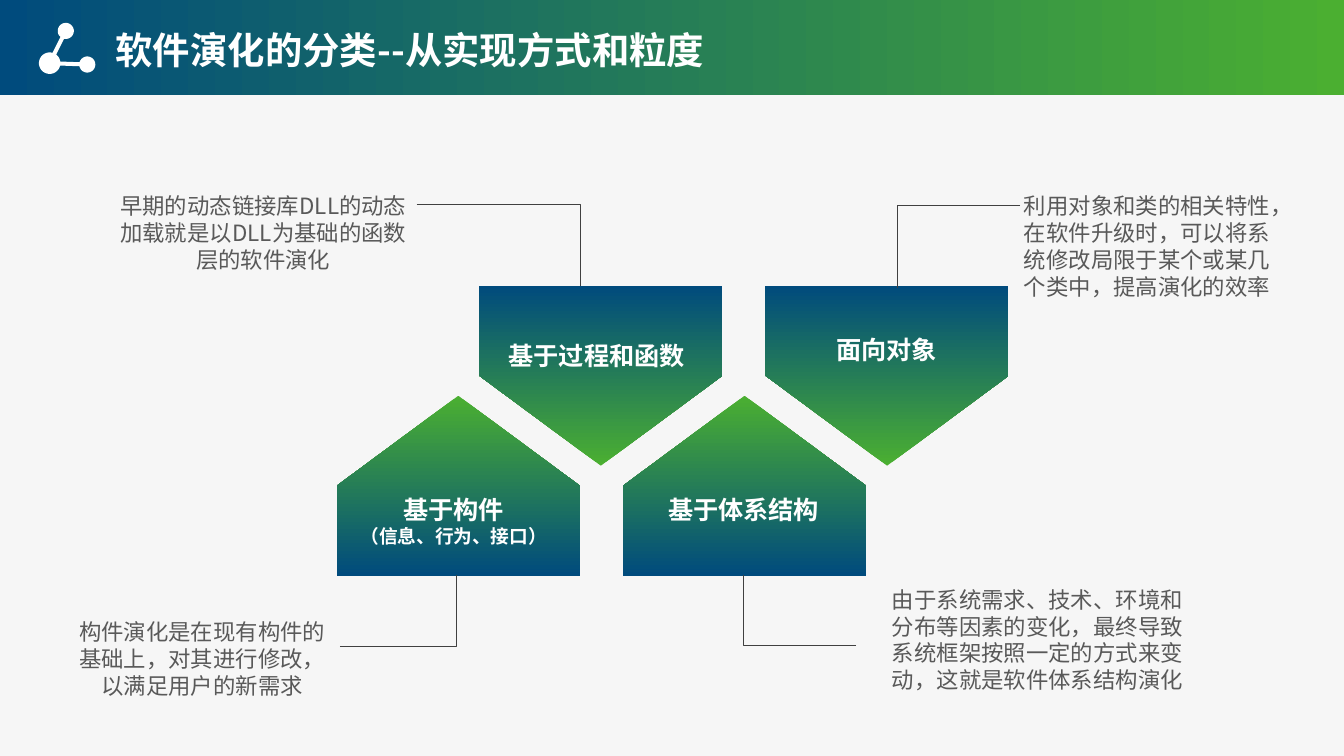
import math
from dataclasses import dataclass

import pptx
import pptx.dml.color
import pptx.enum.shapes
import pptx.enum.text
import pptx.oxml
import pptx.oxml.ns
import pptx.util

Inches = pptx.util.Inches
Pt = pptx.util.Pt
RGB = pptx.dml.color.RGBColor.from_string
SHAPE = pptx.enum.shapes.MSO_SHAPE
CONNECTOR = pptx.enum.shapes.MSO_CONNECTOR
ALIGN = pptx.enum.text.PP_ALIGN
qn = pptx.oxml.ns.qn
NS = pptx.oxml.ns.nsdecls("a")


@dataclass(frozen=True)
class Theme:
    font: str = "Noto Sans CJK SC"
    paper: str = "F6F6F6"
    blue: str = "004B7D"
    green: str = "4BAF31"
    white: str = "FFFFFF"
    body: str = "595959"
    rule: str = "404040"
    title_size: float = 20
    label_size: float = 13.5
    note_size: float = 10
    body_size: float = 12


THEME = Theme()
SLIDE_W = 10
SLIDE_H = SLIDE_W * 9 / 16

# Plates: left and top before turning, rotation
PLATES = [
    (2.74, 2.71, 270),
    (4.87, 2.71, 270),
    (3.8, 1.89, 90),
    (5.93, 1.89, 90),
]

# Plate labels: box, lines with their sizes
LABELS = [
    ((2.58, 3.63, 1.59, 0.5), [("基于构件", THEME.label_size),
                               ("（信息、行为、接口）", THEME.note_size)]),
    ((4.74, 3.63, 1.59, 0.5), [("基于体系结构", THEME.label_size)]),
    ((3.61, 2.48, 1.66, 0.5), [("基于过程和函数", THEME.label_size)]),
    ((5.69, 2.44, 1.81, 0.5), [("面向对象", THEME.label_size)]),
]

# Leaders: from the callout, across and then up or down to the plate
LEADERS = [
    (3.1, 1.52, 4.32, 2.13),
    (7.59, 1.53, 6.68, 2.14),
    (2.53, 4.81, 3.4, 4.28),
    (6.37, 4.8, 5.53, 4.28),
]

# Callouts: box, alignment, text
CALLOUTS = [
    ((0.76, 1.38, 2.4, 1.06), ALIGN.CENTER,
     "早期的动态链接库DLL的动态加载就是以DLL为基础的函数层的软件演化"),
    ((0.41, 4.55, 2.19, 0.64), ALIGN.CENTER,
     "构件演化是在现有构件的基础上，对其进行修改，以满足用户的新需求"),
    ((7.52, 1.38, 2.19, 0.99), ALIGN.LEFT,
     "利用对象和类的相关特性，在软件升级时，可以将系统修改局限于某个或某几个类中，提高演化的效率"),
    ((6.52, 4.31, 2.4, 1.06), ALIGN.CENTER,
     "由于系统需求、技术、环境和分布等因素的变化，最终导致系统框架按照一定的方式来变动，这就是软件体系结构演化"),
]

# Header icon: centre and radius of the hub and of the nodes linked to it
HUB = (0.37, 0.47, 0.08)
NODES = [(0.49, 0.23, 0.06), (0.65, 0.48, 0.06)]
LINK_WIDTH = 0.03


def fill_solid(sp, color):
    sp.fill.solid()
    sp.fill.fore_color.rgb = RGB(color)


def fill_gradient(sp, start, end, angle):
    sp.fill.gradient()
    sp.fill.gradient_angle = angle
    for stop, position, color in zip(sp.fill.gradient_stops, (0, 1), (start, end)):
        stop.position = position
        stop.color.rgb = RGB(color)


def make_plain(sp):
    sp.shadow.inherit = False
    sp.line.fill.background()


def add_shape(s, kind, x, y, w, h):
    sp = s.shapes.add_shape(kind, Inches(x), Inches(y), Inches(w), Inches(h))
    make_plain(sp)
    return sp


def add_plate(s, x, y, rotation):
    sp = add_shape(s, SHAPE.PENTAGON, x, y, 1.34, 1.81)
    sp.rotation = rotation
    fill_gradient(sp, THEME.green, THEME.blue, 180)


def add_text(s, box, lines, color, bold=False, align=ALIGN.LEFT, after=0, inset=(0.1, 0.05)):
    tf = s.shapes.add_textbox(*map(Inches, box)).text_frame
    tf.word_wrap = True
    tf.margin_left = tf.margin_right = Inches(inset[0])
    tf.margin_top = tf.margin_bottom = Inches(inset[1])
    for i, (text, size) in enumerate(lines):
        p = tf.add_paragraph() if i else tf.paragraphs[0]
        p.alignment = align
        p.space_after = Pt(after)
        r = p.add_run()
        r.text = text
        r.font.size = Pt(size)
        r.font.bold = bold
        r.font.color.rgb = RGB(color)
        r.font.name = THEME.font
        # East Asian glyphs take their own typeface
        latin = r.font._element.find(qn("a:latin"))
        latin.addnext(pptx.oxml.parse_xml(f'<a:ea {NS} typeface="{THEME.font}"/>'))


def add_leader(s, ends):
    cxn = s.shapes.add_connector(CONNECTOR.ELBOW, *map(Inches, ends))
    cxn.line.color.rgb = RGB(THEME.rule)
    cxn.line.width = Pt(0.5)
    sp_pr = cxn._element.spPr
    sp_pr.append(pptx.oxml.parse_xml(f"<a:effectLst {NS}/>"))
    # One bend only
    sp_pr.find(qn("a:prstGeom")).set("prst", "bentConnector2")


def arc(circle, start, end, steps=24):
    x, y, radius = circle
    angles = [start + (end - start) * i / steps for i in range(steps + 1)]
    return [(x + radius * math.cos(a), y + radius * math.sin(a)) for a in angles]


def add_icon(s):
    # Walk around the outline: each node, then the hub up to the next link
    headings = [math.atan2(y - HUB[1], x - HUB[0]) for x, y, _ in NODES]
    hub_gap = math.asin(LINK_WIDTH / 2 / HUB[2])
    points = []
    for i, (node, heading) in enumerate(zip(NODES, headings)):
        gap = math.asin(LINK_WIDTH / 2 / node[2])
        points += arc(node, heading + math.pi + gap, heading + 3 * math.pi - gap)
        following = headings[i + 1] if i + 1 < len(NODES) else headings[0] + 2 * math.pi
        points += arc(HUB, heading + hub_gap, following - hub_gap)
    outline = [(Inches(x), Inches(y)) for x, y in points]
    builder = s.shapes.build_freeform(*outline[0])
    builder.add_line_segments(outline[1:], close=True)
    sp = builder.convert_to_shape()
    make_plain(sp)
    fill_solid(sp, THEME.white)


def add_header(s):
    bar = add_shape(s, SHAPE.RECTANGLE, 0, 0, SLIDE_W, 0.71)
    fill_gradient(bar, THEME.blue, THEME.green, 0)
    add_icon(s)
    add_text(s, (0.79, 0.16, 4.74, 0.41),
             [("软件演化的分类--从实现方式和粒度", THEME.title_size)],
             THEME.white, bold=True, inset=(0.07, 0.04))


def main():
    prs = pptx.Presentation()
    prs.slide_width, prs.slide_height = Inches(SLIDE_W), Inches(SLIDE_H)
    s = prs.slides.add_slide(prs.slide_layouts[6])

    # Background and header
    fill_solid(s.background, THEME.paper)
    add_header(s)

    # Interlocking plates and their labels
    for plate in PLATES:
        add_plate(s, *plate)
    for box, lines in LABELS:
        add_text(s, box, lines, THEME.white, bold=True, align=ALIGN.CENTER)

    # Leaders and callouts
    for ends in LEADERS:
        add_leader(s, ends)
    for box, align, text in CALLOUTS:
        add_text(s, box, [(text, THEME.body_size)], THEME.body, align=align, after=6)

    prs.save("out.pptx")


if __name__ == "__main__":
    main()
